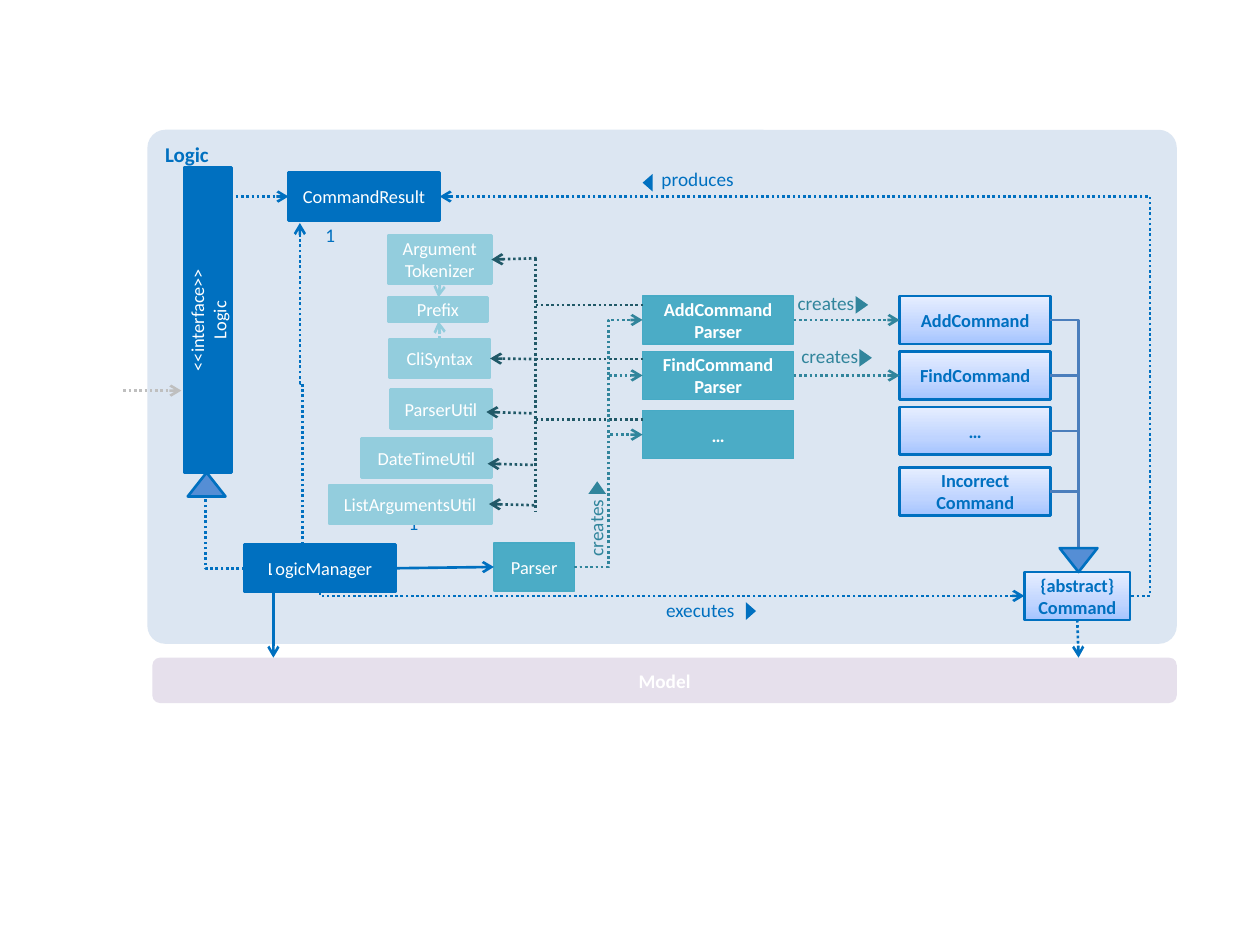
from copy import deepcopy
from pptx import Presentation
from pptx.dml.color import RGBColor
from pptx.enum.dml import MSO_LINE
from pptx.enum.shapes import MSO_CONNECTOR, MSO_SHAPE
from pptx.enum.text import MSO_ANCHOR, PP_ALIGN
from pptx.oxml.ns import qn
from pptx.util import Inches, Pt
from lxml.etree import SubElement

BLUE, TEAL, PALE = "0070C0", "4BACC6", "93CDDD"
DEEP, DARK, WHITE = "31859C", "215968", "FFFFFF"
SHADE = [(0, "A4C4FF"), (0.35, "BFD4FF"), (1, "E6EEFF")]
LEFT, MID, RIGHT = PP_ALIGN.LEFT, PP_ALIGN.CENTER, PP_ALIGN.RIGHT


def tint(code):
    return RGBColor.from_string(code)


class Chart:
    def __init__(self, slide):
        self.slide = slide
        self.font = {"name": "Calibri", "size": Pt(10.5), "bold": False}

    def fill_text(self, shape, text, color, align=MID, **style):
        frame = shape.text_frame
        frame.word_wrap = True
        frame.text = text
        for para in frame.paragraphs:
            para.alignment = align
            for run in para.runs:
                for key, value in {**self.font, **style}.items():
                    setattr(run.font, key, value)
                run.font.color.rgb = tint(color)

    def shape(self, kind, place, fill, edge=None, width=1.5, turn=0):
        item = self.slide.shapes.add_shape(kind, *map(Inches, place))
        item.shadow.inherit = False
        item.rotation = turn
        if isinstance(fill, str):
            item.fill.solid()
            item.fill.fore_color.rgb = tint(fill)
        else:
            self.blend(item, fill)
        if edge:
            item.line.color.rgb = tint(edge)
            item.line.width = Pt(width)
        else:
            item.line.fill.background()
        return item

    def blend(self, item, stops):
        item.fill.gradient()
        item.fill.gradient_angle = 90
        group = item._element.spPr.find(".//" + qn("a:gsLst"))
        group.append(deepcopy(group[-1]))
        for stop, (place, code) in zip(item.fill.gradient_stops, stops):
            stop.position = place
            stop.color.rgb = tint(code)

    def box(self, text, place, fill, edge, color=WHITE, width=1.5, turn=0, **style):
        item = self.shape(MSO_SHAPE.RECTANGLE, place, fill, edge, width, turn)
        self.fill_text(item, text, color, **style)
        return item

    def panel(self, text, place, fill, bend, color, align, anchor, **style):
        item = self.shape(MSO_SHAPE.ROUNDED_RECTANGLE, place, fill)
        item.adjustments[0] = bend
        self.fill_text(item, text, color, align, **style)
        item.text_frame.vertical_anchor = anchor

    def label(self, text, place, color, align=LEFT, turn=0):
        item = self.slide.shapes.add_textbox(*map(Inches, place))
        item.rotation = turn
        for side in ("left", "top", "right", "bottom"):
            setattr(item.text_frame, "margin_" + side, 0)
        self.fill_text(item, text, color, align, size=Pt(11))

    def mark(self, place, fill, edge=None, turn=0):
        self.shape(MSO_SHAPE.ISOSCELES_TRIANGLE, place, fill, edge, turn=turn)

    def spot(self, end):
        item, side = end
        if isinstance(item, (int, float)):
            return Inches(item), Inches(side)
        across, down = [(0.5, 0), (0, 0.5), (0.5, 1), (1, 0.5)][side]
        return int(item.left + item.width * across), int(item.top + item.height * down)

    def line(self, start, end, color, dash=True, tip="tail", kind=MSO_CONNECTOR.STRAIGHT):
        link = self.slide.shapes.add_connector(kind, *self.spot(start), *self.spot(end))
        for (item, side), join in ((start, link.begin_connect), (end, link.end_connect)):
            if not isinstance(item, (int, float)):
                join(item, side)
        link.line.color.rgb = tint(color)
        link.line.width = Pt(1.5)
        if dash:
            link.line.dash_style = MSO_LINE.ROUND_DOT
        props = link._element.spPr
        if tip:
            SubElement(props.find(qn("a:ln")), qn(f"a:{tip}End")).set("type", "arrow")
        SubElement(props, qn("a:effectLst"))
        return link

    def bend(self, start, end, color, shift=0.5, **style):
        link = self.line(start, end, color, kind=MSO_CONNECTOR.ELBOW, **style)
        guide = SubElement(link._element.spPr.find(".//" + qn("a:avLst")), qn("a:gd"))
        guide.set("name", "adj1")
        guide.set("fmla", f"val {round(shift * 100000)}")
        return link

    def hook(self, start, end, color, **style):
        link = self.line(start, end, color, kind=MSO_CONNECTOR.ELBOW, **style)
        link._element.spPr.find(qn("a:prstGeom")).set("prst", "bentConnector2")

    def rise(self, start, end, color):
        (x1, y1), (x2, y2) = start, end
        mid_x, mid_y = (x1 + x2) / 2, (y1 + y2) / 2
        dx, dy = x1 - mid_x, y1 - mid_y
        link = self.bend((mid_x - dy, mid_y + dx), (mid_x + dy, mid_y - dx), color)
        link._element.spPr.find(qn("a:xfrm")).set("rot", "16200000")


def main():
    deck = Presentation()
    deck.slide_width, deck.slide_height = Inches(10), Inches(7.5)
    art = Chart(deck.slides.add_slide(deck.slide_layouts[6]))

    art.panel("Logic", (1.17, 1.03, 8.17, 4.08), "DCE6F2", 0.035, BLUE, LEFT,
              MSO_ANCHOR.TOP, size=Pt(12), bold=True)
    art.panel("Model", (1.21, 5.22, 8.13, 0.36), "E6E0EC", 0.167, WHITE, MID,
              MSO_ANCHOR.MIDDLE, size=Pt(11), bold=True)

    result = art.box("CommandResult", (2.29, 1.37, 1.2, 0.38), BLUE, BLUE)
    boss = art.box("LogicManager", (1.94, 4.32, 1.2, 0.38), BLUE, BLUE)
    parser = art.box("Parser", (3.92, 4.31, 0.64, 0.38), TEAL, "46AAC5", width=0.75)
    art.box("<<interface>>\nLogic", (0.44, 2.35, 2.42, 0.38), BLUE, BLUE, turn=270)
    base = art.box("{abstract}\vCommand", (8.13, 4.54, 0.84, 0.38), SHADE, BLUE, BLUE, bold=True)
    orders = [art.box(text, (7.14, top, 1.2, 0.38), SHADE, BLUE, BLUE, bold=True)
              for text, top in (("AddCommand", 2.35), ("FindCommand", 2.79),
                                ("…", 3.23), ("Incorrect\vCommand", 3.71))]
    readers = [art.box(text, (5.1, top, 1.2, 0.38), TEAL, "46AAC5", width=0.75, bold=True)
               for text, top in (("AddCommand\nParser", 2.35), ("FindCommand\nParser", 2.79),
                                 ("…", 3.26))]

    art.bend((8.98, 4.73), (3.49, 1.56), BLUE, -0.027)
    art.line((1.83, 1.56), (result, 1), BLUE)
    art.line((base, 2), (8.56, 5.22), BLUE)
    art.mark((1.49, 3.75, 0.3, 0.19), "558ED5", BLUE)
    art.hook((1.94, 4.51), (1.63, 3.94), BLUE, tip=None)
    art.line((2.17, 4.51), (2.17, 5.22), BLUE, dash=False)
    art.line((0.98, 3.1), (1.44, 3.1), "BFBFBF")
    art.hook((8.13, 4.73), (2.54, 4.7), BLUE, tip="head")
    art.rise((2.4, 4.32), (2.38, 1.77), BLUE)
    art.line((boss, 3), (parser, 1), BLUE, dash=False)

    art.label("executes", (5.03, 4.75, 0.8, 0.25), BLUE, RIGHT)
    art.mark((5.89, 4.81, 0.14, 0.08), BLUE, turn=90)
    art.label("produces", (5.25, 1.33, 0.8, 0.25), BLUE)
    art.mark((5.07, 1.41, 0.14, 0.08), BLUE, turn=270)
    for left, top in ((2.52, 1.77), (3.18, 4.06)):
        art.label("1", (left, top, 0.14, 0.25), BLUE, RIGHT)
    for left, top in ((6.33, 2.31), (6.36, 2.73)):
        art.label("creates", (left, top, 0.61, 0.28), DEEP)
        art.mark((left + 0.44, top + 0.06, 0.14, 0.1), DEEP, turn=90)
    art.label("creates", (4.47, 3.97, 0.61, 0.28), DEEP, turn=270)
    art.mark((4.67, 3.82, 0.14, 0.1), DEEP)

    tools = [art.box(text, place, PALE, PALE) for text, place in (
        ("Argument\vTokenizer", (3.08, 1.87, 0.82, 0.38)),
        ("Prefix", (3.08, 2.36, 0.79, 0.19)),
        ("CliSyntax", (3.09, 2.69, 0.8, 0.31)),
        ("ParserUtil", (3.1, 3.09, 0.8, 0.31)),
        ("DateTimeUtil", (2.87, 3.48, 1.03, 0.31)),
        ("ListArgumentsUtil", (2.61, 3.85, 1.29, 0.31)))]
    art.rise((3.49, 2.69), (3.48, 2.55), PALE)
    art.rise((3.49, 2.25), (3.48, 2.36), PALE)

    art.line((4.25, 2.05), (4.25, 4.06), DARK, tip=None)
    for tool, top in ((tools[0], 2.05), (tools[2], 2.85)):
        art.line((4.26, top), (tool, 3), DARK)
    for right, left, top in ((4.22, 3.86, 3.27), (4.23, 3.87, 3.68), (4.24, 3.88, 4)):
        art.line((right, top + 0.01), (left, top), DARK)
    for top in (2.42, 2.85, 3.33):
        art.line((4.25, top), (5.1, top), DARK, tip=None)

    for top in (2.54, 2.98, 3.42, 3.9):
        art.hook((8.33, top), (8.56, 4.35), "4B7EBC", dash=False, tip=None)
    art.mark((8.41, 4.35, 0.3, 0.19), "558ED5", BLUE, turn=180)
    for top in (2.54, 2.98, 3.45):
        art.bend((4.56, 4.5), (5.1, top), DEEP)
    for reader, order in zip(readers[:2], orders):
        art.line((reader, 3), (order, 1), DEEP)

    deck.save("out.pptx")


if __name__ == "__main__":
    main()
